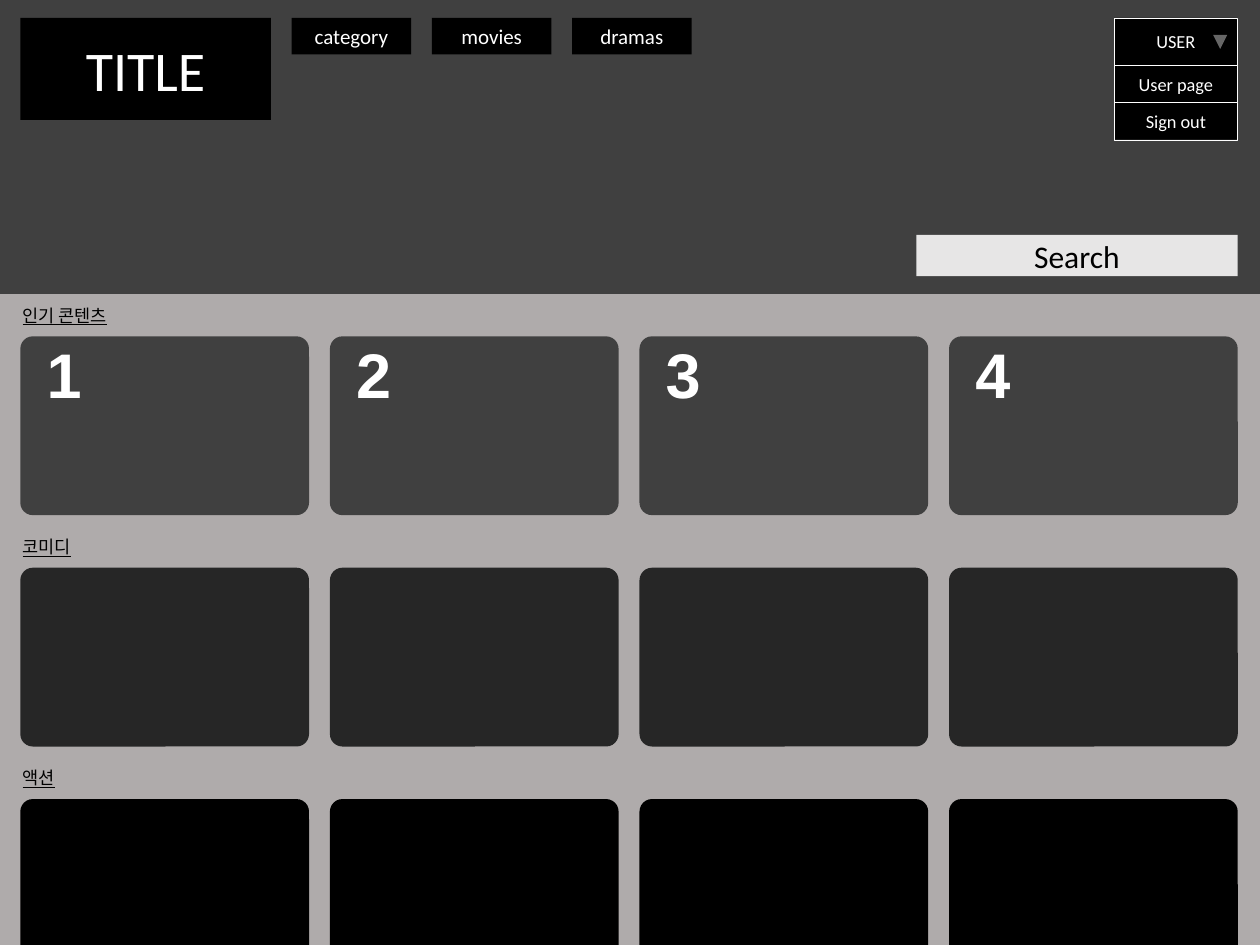
from lxml import etree
from pptx import Presentation
from pptx.dml.color import RGBColor
from pptx.enum import shapes, text
from pptx.oxml.ns import qn
from pptx.util import Pt

COLORS = {
    "page": "AFABAB", "header": "404040", "comedy": "262626",
    "black": "000000", "white": "FFFFFF", "search": "E7E6E6",
}
LEFT, CARD_W, CARD_H = 11.6, 165, 102.2
CARD_STEP, ROW_TOP, ROW_STEP = 176.9, 192.2, 132.2
ROWS = [("인기 콘텐츠", "header"), ("코미디", "comedy"), ("액션", "black")]


def color(name):
    return RGBColor.from_string(COLORS[name])


def paint(shape, fill):
    shape.fill.solid()
    shape.fill.fore_color.rgb = color(fill)


def write(shape, words, size, ink="white", font="Calibri", bold=None,
          underline=None, align=text.PP_ALIGN.CENTER):
    paragraph = shape.text_frame.paragraphs[0]
    paragraph.alignment = align
    run = paragraph.add_run()
    run.text = words
    run.font.name, run.font.size = font, Pt(size)
    run.font.bold, run.font.underline = bold, underline
    run.font.color.rgb = color(ink)


def add_block(slide, box, fill, kind=shapes.MSO_SHAPE.RECTANGLE, outline=None):
    block = slide.shapes.add_shape(kind, *map(Pt, box))
    block.shadow.inherit = False
    paint(block, fill)
    if outline:
        block.line.color.rgb = color(outline)
        block.line.width = Pt(0.1)
    else:
        block.line.fill.background()
    return block


def add_button(slide, box, words, size, fill="black", ink="white", outline=None):
    button = add_block(slide, box, fill, outline=outline)
    button.text_frame.vertical_anchor = text.MSO_ANCHOR.MIDDLE
    write(button, words, size, ink)


def add_label(slide, box, words, size, **style):
    label = slide.shapes.add_textbox(*map(Pt, box))
    label.text_frame.word_wrap = True
    label.text_frame.auto_size = text.MSO_AUTO_SIZE.SHAPE_TO_FIT_TEXT
    write(label, words, size, align=text.PP_ALIGN.LEFT, **style)


def add_site_title(slide):
    title = slide.shapes.title
    title.left, title.top, title.width, title.height = map(Pt, (LEFT, 10.2, 143.3, 58.4))
    paint(title, "black")
    title.text_frame.auto_size = text.MSO_AUTO_SIZE.NONE
    title.text_frame.vertical_anchor = text.MSO_ANCHOR.MIDDLE
    write(title, "TITLE", 32)
    return title


def add_header(slide):
    band = add_block(slide, (0, 0, 720, 168), "header")
    title = add_site_title(slide)
    title._element.addprevious(band._element)  # band lies behind the title

    # Navigation
    for i, name in enumerate(("category", "movies", "dramas")):
        add_button(slide, (166.7 + 80.1 * i, 10.2, 68.3, 20.9), name, 12)

    # User menu
    for name, top, height in (("USER", 10.2, 26.9), ("User page", 37.3, 21.3),
                              ("Sign out", 58.6, 21.3)):
        add_button(slide, (636.7, top, 70.5, height), name, 10.5, outline="white")
    marker = add_block(slide, (693.3, 20, 8, 8), "white",
                       shapes.MSO_SHAPE.FLOWCHART_MERGE)
    tint = marker._element.spPr.find(qn("a:solidFill"))[0]
    etree.SubElement(tint, qn("a:alpha"), val="40000")

    add_button(slide, (523.6, 134.2, 183.6, 23.6), "Search", 18, "search", "black")


def add_content_row(slide, row, heading, fill):
    top = ROW_TOP + ROW_STEP * row
    add_label(slide, (5.8, top - 21.6, 72.7, 19.4), heading, 10,
              ink="black", underline=True)
    for column in range(4):
        left = LEFT + CARD_STEP * column
        card = add_block(slide, (left, top, CARD_W, CARD_H), fill,
                         shapes.MSO_SHAPE.ROUNDED_RECTANGLE)
        card.adjustments[0] = 0.07
        if row == 0:  # ranking number
            add_label(slide, (left + 7.9, top - 4.3, 37.4, 51), str(column + 1), 36,
                      font="Arial", bold=True)


def main():
    deck = Presentation()
    deck.slide_width, deck.slide_height = Pt(720), Pt(540)
    slide = deck.slides.add_slide(deck.slide_layouts[5])
    slide.background.fill.solid()
    slide.background.fill.fore_color.rgb = color("page")

    add_header(slide)
    for row, (heading, fill) in enumerate(ROWS):
        add_content_row(slide, row, heading, fill)
    deck.save("out.pptx")


main()
